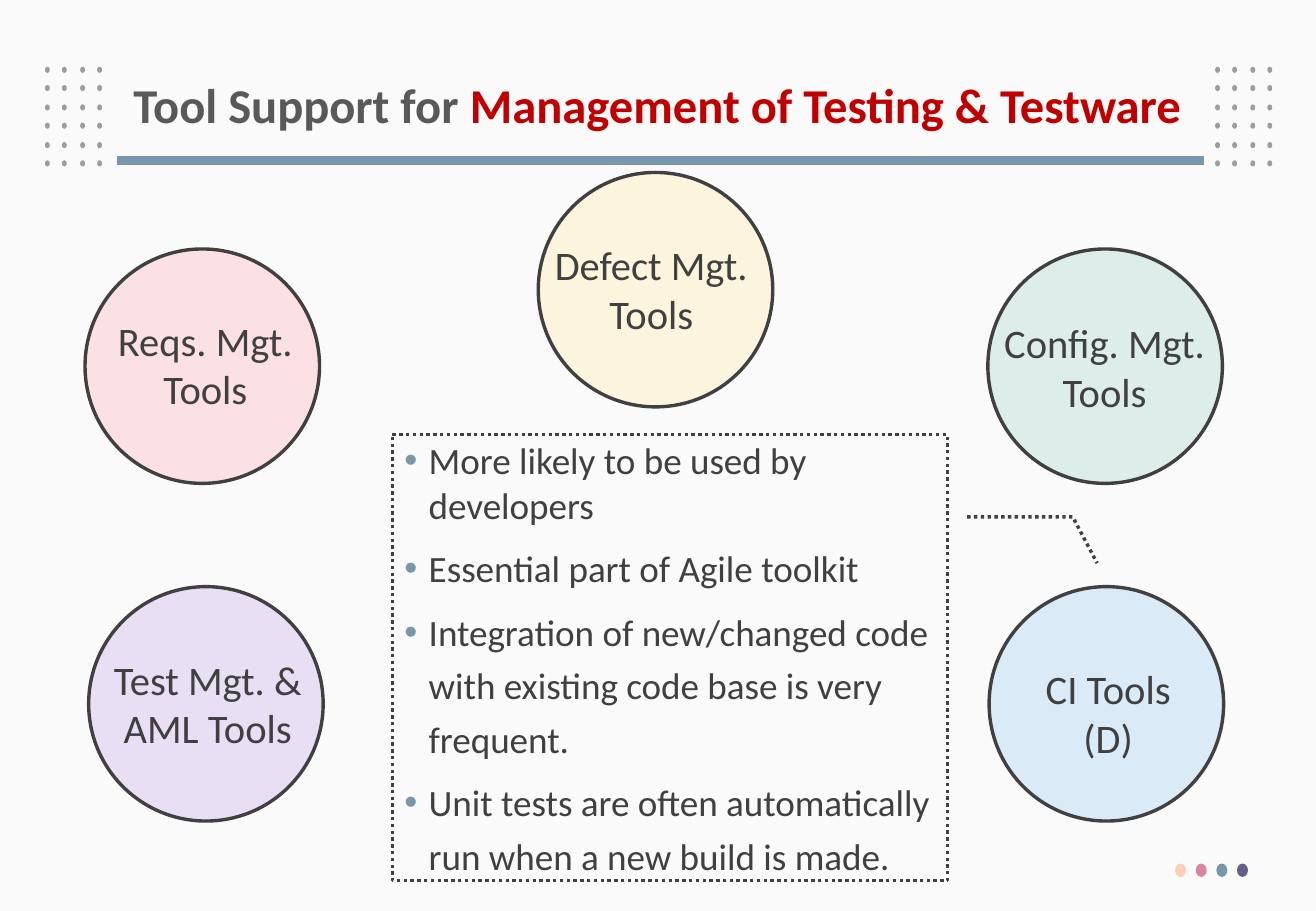
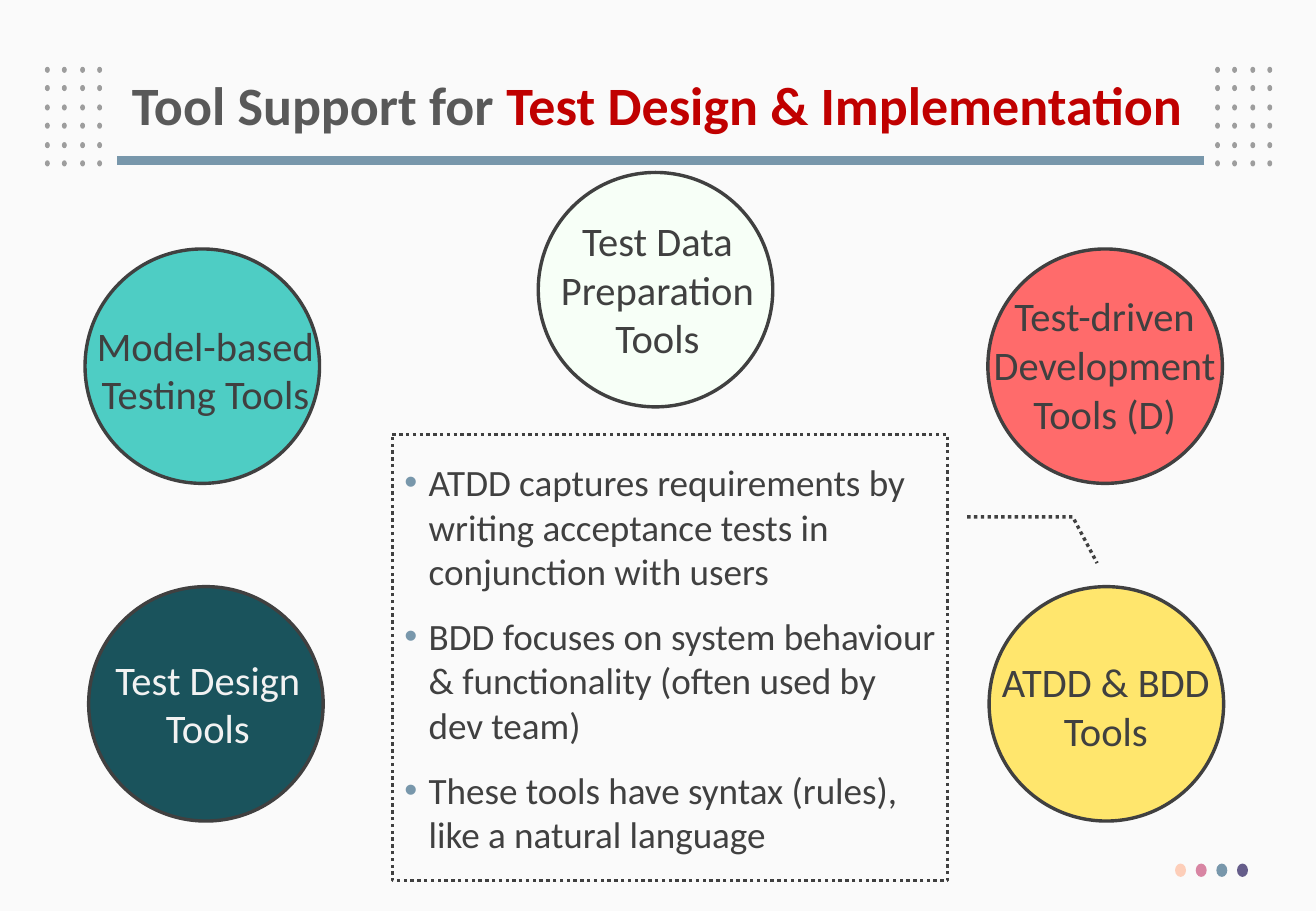
from dataclasses import dataclass

from lxml import etree
from pptx import Presentation
from pptx import util as u
from pptx.dml.color import RGBColor
from pptx.enum import dml, shapes, text
from pptx.oxml import ns

PX = u.Inches(1) // 100  # EMU in one px


@dataclass(frozen=True)
class Theme:
    font: str = "Calibri"
    paper: str = "FAFAFA"
    title_ink: str = "595959"
    accent: str = "C00000"
    ink: str = "404040"
    light_ink: str = "F2F2F2"
    steel: str = "7897AB"
    dot: str = "9D9D9D"
    footer_dots: tuple[str, ...] = ("FDCEB9", "D885A3", "7897AB", "655D8A")
    label_size: float = 24
    bullet_size: float = 22
    outline: float = 2
    rule: float = 5.25


@dataclass(frozen=True)
class Box:
    left: int
    top: int
    width: int
    height: int

    def emu(self) -> tuple[int, int, int, int]:
        return self.left * PX, self.top * PX, self.width * PX, self.height * PX


@dataclass(frozen=True)
class Bubble:
    fill: str
    lines: tuple[str, ...]
    label: Box
    ink: str = Theme.ink


@dataclass(frozen=True)
class Bullet:
    text: str
    before: int = 0
    spacing: float = 1.0


@dataclass(frozen=True)
class ToolSlide:
    topic: str
    title_size: float
    bubbles: tuple[Bubble, ...]
    bullets: tuple[Bullet, ...]


THEME = Theme()
TITLE = Box(74, 40, 934, 98)
CALLOUT = Box(323, 358, 457, 367)
CALLOUT_LEADER = (0.184, 1.035, 0.184, 1.225, 0.288, 1.269)
# Circles: lower left, upper left, top, upper right, lower right
CIRCLES = [Box(left, top, 193, 193) for left, top in
           ((73, 483), (70, 205), (443, 142), (813, 205), (814, 483))]

SLIDES = (
    ToolSlide(
        "Management of Testing & Testware", 28.8,
        (
            Bubble("E8DFF5", ("Test Mgt. & AML Tools",), Box(52, 534, 238, 91)),
            Bubble("FCE1E4", ("Reqs. Mgt. Tools",), Box(50, 255, 238, 91)),
            Bubble("FCF4DD", ("Defect Mgt. Tools",), Box(417, 193, 238, 91)),
            Bubble("DDEDEA", ("Config. Mgt. Tools",), Box(790, 257, 238, 91)),
            Bubble("DAEAF6", ("CI Tools", "(D)"), Box(793, 542, 238, 91)),
        ),
        (
            Bullet("More likely to be used by developers"),
            Bullet("Essential part of Agile toolkit", 6, 1.2),
            Bullet("Integration of new/changed code with existing code base "
                   "is very frequent.", 6, 1.2),
            Bullet("Unit tests are often automatically run when a new build "
                   "is made.", 6, 1.2),
        ),
    ),
    ToolSlide(
        "Test Design & Implementation", 32,
        (
            Bubble("1A535C", ("Test Design Tools",), Box(52, 534, 238, 91), THEME.light_ink),
            Bubble("4ECDC4", ("Model-based Testing Tools",), Box(50, 259, 238, 91)),
            Bubble("F7FFF7", ("Test Data Preparation Tools",), Box(422, 173, 238, 131)),
            Bubble("FF6B6B", ("Test-driven Development", "Tools (D)"),
                   Box(790, 235, 238, 131)),
            Bubble("FFE66D", ("ATDD & BDD Tools",), Box(791, 536, 238, 91)),
        ),
        (
            Bullet("ATDD captures requirements by writing acceptance tests in "
                   "conjunction with users"),
            Bullet("BDD focuses on system behaviour & functionality (often used "
                   "by dev team)", 12),
            Bullet("These tools have syntax (rules), like a natural language", 12),
        ),
    ),
)


def rgb(colour: str) -> RGBColor:
    return RGBColor.from_string(colour)


def style_font(font, size: float, colour: str | None = None, bold: bool = False) -> None:
    font.name = THEME.font
    font.size = u.Pt(size)
    font.bold = bold
    if colour:
        font.color.rgb = rgb(colour)


def add_ellipse(parent, box: Box, fill: str, outlined: bool = False) -> None:
    ellipse = parent.shapes.add_shape(shapes.MSO_SHAPE.OVAL, *box.emu())
    ellipse.shadow.inherit = False
    ellipse.fill.solid()
    ellipse.fill.fore_color.rgb = rgb(fill)
    if outlined:
        ellipse.line.color.rgb = rgb(THEME.ink)
        ellipse.line.width = u.Pt(THEME.outline)
    else:
        ellipse.line.fill.background()


def add_frame(page) -> None:
    # Dot grids on both sides of the title
    for left in (37, 1000):
        grid = page.shapes.add_group_shape()
        for row in range(6):
            for column in range(4):
                dot = Box(left + round(column * 43 / 3), 55 + round(row * 15.4), 4, 5)
                add_ellipse(grid, dot, THEME.dot)

    # Rule under the title
    rule = page.shapes.add_connector(
        shapes.MSO_CONNECTOR.STRAIGHT, 991 * PX, 132 * PX, 96 * PX, 132 * PX)
    rule.line.color.rgb = rgb(THEME.steel)
    rule.line.width = u.Pt(THEME.rule)
    etree.SubElement(rule.element.spPr, ns.qn("a:effectLst"))

    # Footer dots
    footer = page.shapes.add_group_shape()
    for index, colour in enumerate(THEME.footer_dots):
        add_ellipse(footer, Box(967 + 17 * index, 711, 9, 11), colour)


def add_title(page, topic: str, size: float) -> None:
    frame = page.shapes.add_textbox(*TITLE.emu()).text_frame
    frame.word_wrap = True
    frame.vertical_anchor = text.MSO_ANCHOR.MIDDLE
    para = frame.paragraphs[0]
    para.alignment = text.PP_ALIGN.CENTER
    para.line_spacing = 0.9
    style_font(para.font, size, bold=True)
    for words, colour in (("Tool Support for ", THEME.title_ink), (topic, THEME.accent)):
        span = para.add_run()
        span.text = words
        span.font.color.rgb = rgb(colour)


def add_bubble(page, circle: Box, bubble: Bubble) -> None:
    group = page.shapes.add_group_shape()
    add_ellipse(group, circle, bubble.fill, outlined=True)
    frame = group.shapes.add_textbox(*bubble.label.emu()).text_frame
    frame.word_wrap = True
    frame.auto_size = text.MSO_AUTO_SIZE.SHAPE_TO_FIT_TEXT
    frame.text = "\n".join(bubble.lines)
    for para in frame.paragraphs:
        para.alignment = text.PP_ALIGN.CENTER
        style_font(para.font, THEME.label_size, bubble.ink)


def add_bullet_mark(para) -> None:
    props = para._p.get_or_add_pPr()
    indent = 20 * PX
    props.set("marL", str(indent))
    props.set("indent", str(-indent))
    colour = etree.SubElement(props, ns.qn("a:buClr"))
    etree.SubElement(colour, ns.qn("a:srgbClr"), val=THEME.steel)
    etree.SubElement(props, ns.qn("a:buFont"), typeface="Arial")
    etree.SubElement(props, ns.qn("a:buChar"), char="•")


def add_callout(page, bullets: tuple[Bullet, ...]) -> None:
    callout = page.shapes.add_shape(shapes.MSO_SHAPE.LINE_CALLOUT_2, *CALLOUT.emu())
    for index, value in enumerate(CALLOUT_LEADER):
        callout.adjustments[index] = value
    callout.shadow.inherit = False
    callout.fill.background()
    callout.line.color.rgb = rgb(THEME.ink)
    callout.line.width = u.Pt(THEME.outline)
    callout.line.dash_style = dml.MSO_LINE.ROUND_DOT

    frame = callout.text_frame
    frame.word_wrap = True
    frame.vertical_anchor = text.MSO_ANCHOR.MIDDLE
    frame.text = "\n".join(bullet.text for bullet in bullets)
    for para, bullet in zip(frame.paragraphs, bullets):
        add_bullet_mark(para)
        para.alignment = text.PP_ALIGN.LEFT
        para.line_spacing = bullet.spacing
        para.space_before = u.Pt(bullet.before)
        style_font(para.font, THEME.bullet_size, THEME.ink)


def add_tool_slide(deck, content: ToolSlide) -> None:
    page = deck.slides.add_slide(deck.slide_layouts[6])
    page.background.fill.solid()
    page.background.fill.fore_color.rgb = rgb(THEME.paper)
    add_frame(page)
    add_title(page, content.topic, content.title_size)
    for circle, bubble in zip(CIRCLES, content.bubbles):
        add_bubble(page, circle, bubble)
    add_callout(page, content.bullets)


def main() -> None:
    deck = Presentation()
    deck.slide_width, deck.slide_height = 1083 * PX, 750 * PX
    for content in SLIDES:
        add_tool_slide(deck, content)
    deck.save("out.pptx")


if __name__ == "__main__":
    main()
